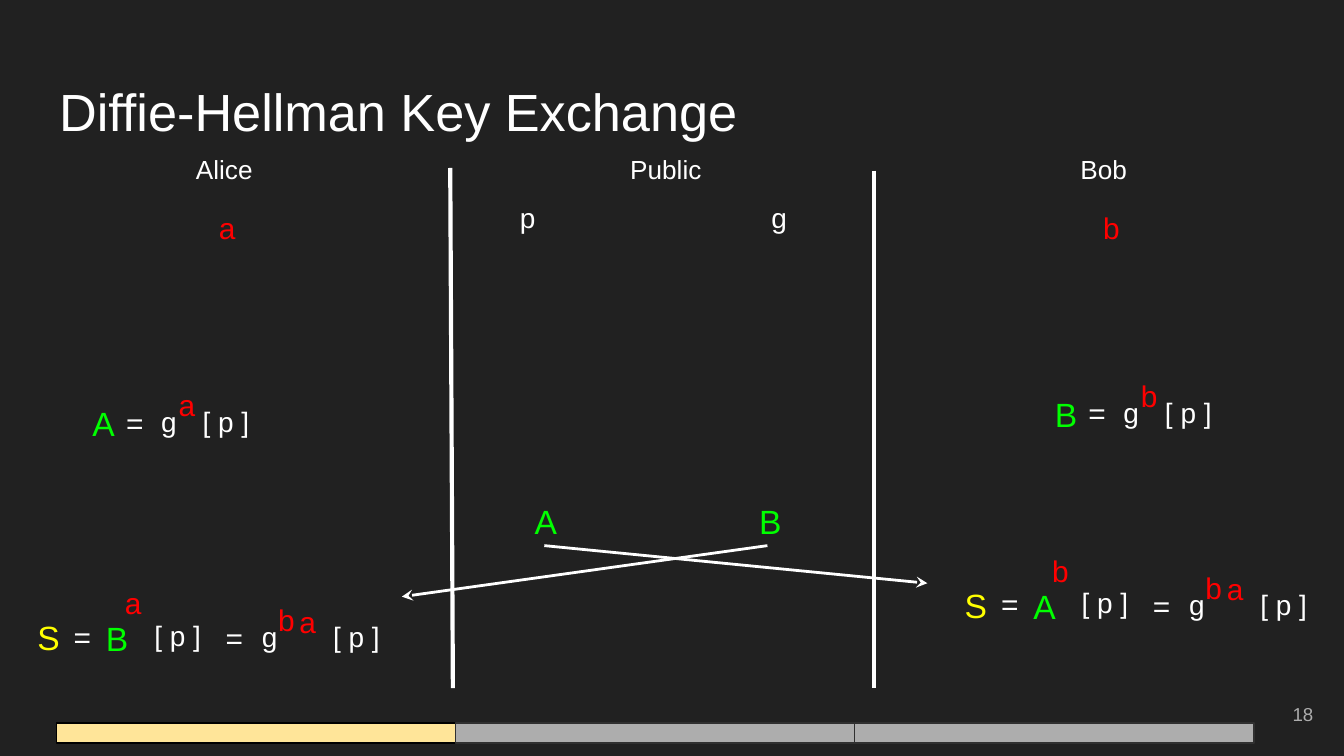
"""Build the Diffie-Hellman key exchange slide."""
import pptx
import pptx.dml.color
import pptx.enum.shapes
import pptx.enum.text
import pptx.oxml.ns
import pptx.util
from lxml import etree

Inches = pptx.util.Inches
ALIGN = pptx.enum.text.PP_ALIGN
ANCHOR = pptx.enum.text.MSO_ANCHOR

SLIDE_WIDTH, SLIDE_HEIGHT = 10, 10 * 9 / 16
BACKGROUND, WHITE, GREY = "212121", "FFFFFF", "ADADAD"
TITLE = "Diffie-Hellman Key Exchange"
STYLES = {
    "title": {"size": 28, "color": WHITE},
    "heading": {"size": 14, "color": WHITE},
    "number": {"size": 10, "color": GREY},
    "plain": {"size": 15, "color": WHITE},
    "equals": {"size": 16, "color": WHITE},
    "secret": {"size": 16, "color": "FF0000"},
    "public": {"size": 18, "color": "00FF00"},
    "shared": {"size": 18, "color": "FFFF00"},
}
HEADINGS = [("Alice", 1.36, 0.87), ("Public", 4.59, 0.82), ("Bob", 7.94, 0.66)]
VALUES = [
    ("p", "plain", 3.77, 1.39, 0.42, 0.57), ("g", "plain", 5.64, 1.39, 0.42, 0.57),
    ("a", "secret", 1.53, 1.46), ("b", "secret", 8.11, 1.46),
    ("A", "public", 3.88, 3.63), ("B", "public", 5.55, 3.63),
]
PUBLIC_KEYS = [("A", "a", 0.59, 2.9), ("B", "b", 7.75, 2.83)]
SHARED_KEYS = [("B", "a", 0.18, 4.49), ("A", "b", 7.08, 4.25)]
PUBLIC_FORMULA = [
    ("{key}", "public", 0, 0), ("=", "equals", 0.25, 0.01),
    ("g", "plain", 0.51, 0.01), ("{secret}", "secret", 0.64, -0.12),
    ("[ p ]", "plain", 0.82, 0.01),
]
SHARED_FORMULA = [
    ("S", "shared", 0, 0), ("=", "equals", 0.27, 0.01),
    ("{key}", "public", 0.51, 0.01), ("{secret}", "secret", 0.65, -0.24),
    ("[ p ]", "plain", 0.87, 0.01), ("=", "equals", 1.4, 0.02),
    ("g", "plain", 1.67, 0.02), ("b", "secret", 1.79, -0.11),
    ("a", "secret", 1.95, -0.1), ("[ p ]", "plain", 2.2, 0.02),
]
WIDTHS = {"secret": 0.38, "[ p ]": 0.66}
LETTER_WIDTH = 0.33
DIVIDERS = [((3.35, 1.25), (3.37, 5.12)), ((6.5, 1.27), (6.5, 5.12))]
EXCHANGES = [((5.71, 4.06), (2.99, 4.44)), ((4.05, 4.06), (6.9, 4.34))]
PROGRESS = [("FFE599", "000000"), (GREY, "303030"), (GREY, "303030")]
PROGRESS_LEFT, PROGRESS_TOP, STEP_WIDTH, STEP_HEIGHT = 0.42, 5.38, 2.97, 0.15


def rgb(value):
    """Return the colour for a hex string."""
    return pptx.dml.color.RGBColor.from_string(value)


def write(box, text, style, align=ALIGN.LEFT, anchor=ANCHOR.TOP):
    """Put one styled paragraph into a box."""
    frame = box.text_frame
    frame_format = {
        "word_wrap": True, "auto_size": pptx.enum.text.MSO_AUTO_SIZE.NONE,
        "vertical_anchor": anchor,
        "margin_left": Inches(0.1), "margin_right": Inches(0.1),
        "margin_top": Inches(0.1), "margin_bottom": Inches(0.1),
    }
    for name, value in frame_format.items():
        setattr(frame, name, value)
    paragraph = frame.paragraphs[0]
    paragraph.alignment = align
    run = paragraph.add_run()
    run.text = text
    font_format = {"name": "Arial", "size": pptx.util.Pt(STYLES[style]["size"])}
    for name, value in font_format.items():
        setattr(run.font, name, value)
    run.font.color.rgb = rgb(STYLES[style]["color"])


def add_text(slide, text, style, left, top, width=None, height=0.43, **layout):
    """Add a text box, as wide as its text or style asks."""
    width = width or WIDTHS.get(text) or WIDTHS.get(style, LETTER_WIDTH)
    box = slide.shapes.add_textbox(*map(Inches, (left, top, width, height)))
    write(box, text, style, **layout)


def add_formula(slide, parts, key, secret, left, top):
    """Place the parts of a formula around its starting point."""
    for text, style, right, down in parts:
        add_text(slide, text.format(key=key, secret=secret), style,
                 left + right, top + down)


def add_line(slide, start, end, weight, arrow=False):
    """Add a white line, with an arrowhead at its end if asked."""
    line = slide.shapes.add_connector(
        pptx.enum.shapes.MSO_CONNECTOR.STRAIGHT, *map(Inches, start + end))
    line.line.color.rgb = rgb(WHITE)
    line.line.width = pptx.util.Pt(weight)
    if arrow:
        outline = line._element.spPr.find(pptx.oxml.ns.qn("a:ln"))
        etree.SubElement(outline, pptx.oxml.ns.qn("a:tailEnd"),
                         type="stealth", w="med", len="med")
    etree.SubElement(line._element.spPr, pptx.oxml.ns.qn("a:effectLst"))


def add_progress(slide):
    """Add the progress bar along the bottom."""
    for index, (fill, outline) in enumerate(PROGRESS):
        step = slide.shapes.add_shape(
            pptx.enum.shapes.MSO_SHAPE.RECTANGLE,
            Inches(PROGRESS_LEFT + index * STEP_WIDTH), Inches(PROGRESS_TOP),
            Inches(STEP_WIDTH), Inches(STEP_HEIGHT))
        step.shadow.inherit = False
        step.fill.solid()
        step.fill.fore_color.rgb = rgb(fill)
        step.line.color.rgb = rgb(outline)
        step.line.width = pptx.util.Pt(0.75)


def main():
    """Assemble and save the slide."""
    deck = pptx.Presentation()
    deck.slide_width, deck.slide_height = Inches(SLIDE_WIDTH), Inches(SLIDE_HEIGHT)
    slide = deck.slides.add_slide(deck.slide_layouts[5])
    slide.background.fill.solid()
    slide.background.fill.fore_color.rgb = rgb(BACKGROUND)

    title = slide.shapes.title
    place = {"left": 0.34, "top": 0.49, "width": 9.32, "height": 0.63}
    for name, value in place.items():
        setattr(title, name, Inches(value))
    write(title, TITLE, "title")

    for heading, left, width in HEADINGS:
        add_text(slide, heading, "heading", left, 1.04, width, 0.38)
    for value in VALUES:
        add_text(slide, *value)
    for public_key in PUBLIC_KEYS:
        add_formula(slide, PUBLIC_FORMULA, *public_key)
    for shared_key in SHARED_KEYS:
        add_formula(slide, SHARED_FORMULA, *shared_key)
    for start, end in DIVIDERS:
        add_line(slide, start, end, 2.25)
    for start, end in EXCHANGES:
        add_line(slide, start, end, 1.5, arrow=True)
    add_progress(slide)
    add_text(slide, "18", "number", 9.27, 5.1, 0.6,
             align=ALIGN.RIGHT, anchor=ANCHOR.MIDDLE)
    deck.save("out.pptx")


if __name__ == "__main__":
    main()
